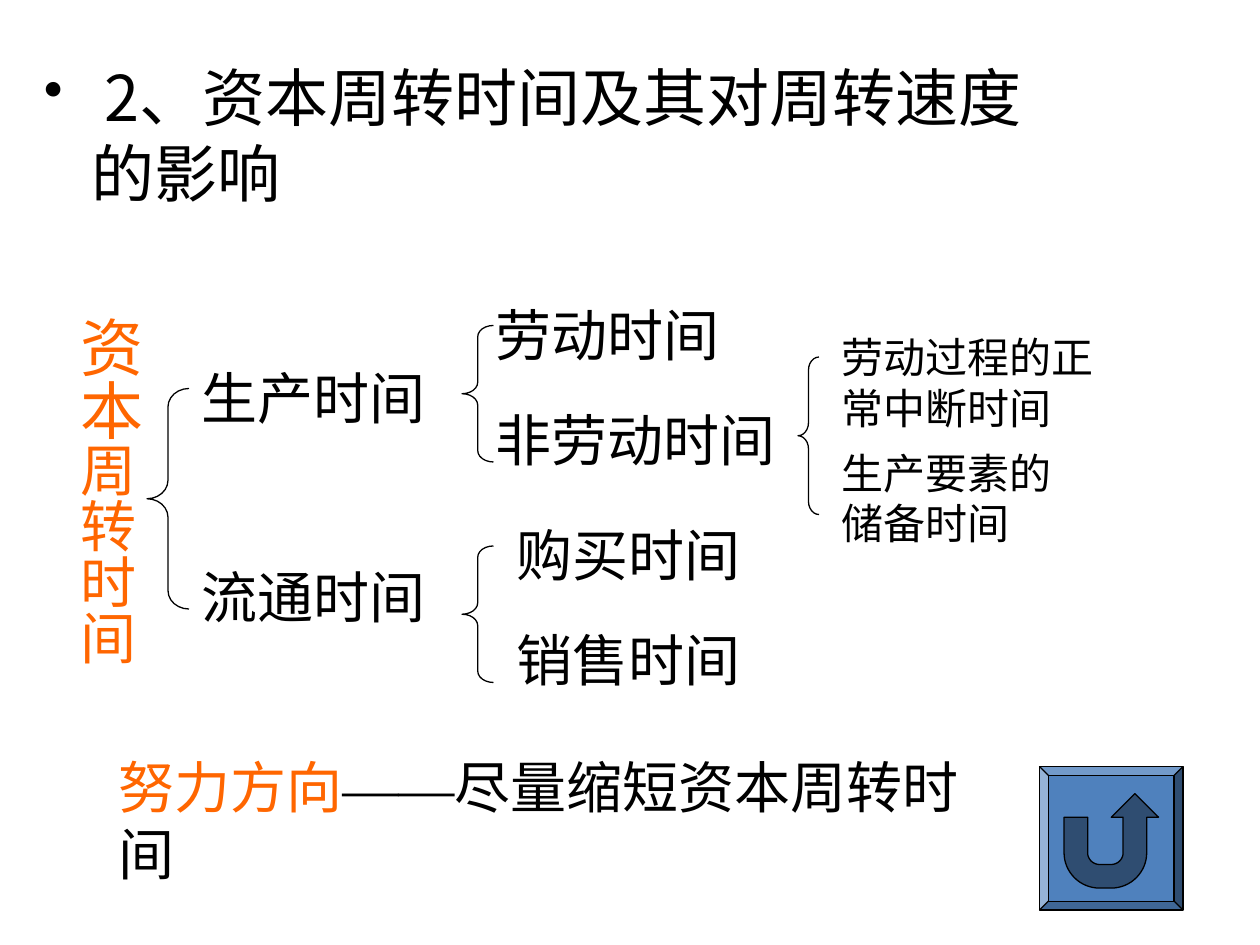
import math
import pptx
import pptx.util
import pptx.dml.color
import pptx.enum.shapes
import pptx.enum.text
import pptx.oxml.ns
from lxml import etree

COLORS = {"ink": "000000", "accent": "FF6600", "button": "4F81BD", "arrow": "2F4D71"}
CJK, LATIN = "Noto Sans CJK SC", "Times New Roman"
WIDTH, HEIGHT = 10, 7.5
UNIT = WIDTH / 120  # layout grid step
LINE_BOX = 0.64     # height of a one-line label


def inches(*lengths):
    return [pptx.util.Inches(length) for length in lengths]


def grid(*steps):
    return [step * UNIT for step in steps]


def rgb(name):
    return pptx.dml.color.RGBColor.from_string(COLORS[name])


def add_run(paragraph, words, size, color="ink", font=CJK):
    run = paragraph.add_run()
    run.text = words
    run.font.size = pptx.util.Pt(size)
    run.font.name = font
    run.font.color.rgb = rgb(color)
    east_asian = etree.SubElement(run.font._element, pptx.oxml.ns.qn("a:ea"))
    east_asian.set("typeface", font)


def add_label(slide, box, runs, wrap=False):
    """Add a one-paragraph text box; each run is (words, size, ...)."""
    label = slide.shapes.add_textbox(*inches(*box))
    label.text_frame.word_wrap = wrap
    for run in runs:
        add_run(label.text_frame.paragraphs[0], *run)
    return label


def add_bullet(paragraph, indent):
    properties = paragraph._p.get_or_add_pPr()
    properties.set("marL", str(pptx.util.Inches(indent)))
    properties.set("indent", str(-pptx.util.Inches(indent)))
    etree.SubElement(properties, pptx.oxml.ns.qn("a:buChar")).set("char", "•")


def style(shape, fill=None):
    shape.shadow.inherit = False
    if fill:
        shape.fill.solid()
        shape.fill.fore_color.rgb = rgb(fill)
    else:
        shape.fill.background()
    shape.line.color.rgb = rgb("ink")
    shape.line.width = pptx.util.Pt(0.75)


def add_brace(slide, left, top, width, height):
    brace = slide.shapes.add_shape(
        pptx.enum.shapes.MSO_SHAPE.LEFT_BRACE, *inches(left, top, width, height))
    brace.adjustments[0] = height / 12 / width
    style(brace)


def arc(center_x, center_y, radius, start, end, steps=16):
    angles = [math.radians(start + (end - start) * i / steps) for i in range(steps + 1)]
    return [(center_x + radius * math.cos(a), center_y + radius * math.sin(a))
            for a in angles]


def add_return_button(slide, left, top, side):
    bevel = slide.shapes.add_shape(
        pptx.enum.shapes.MSO_SHAPE.BEVEL, *inches(left, top, side, side))
    bevel.adjustments[0] = 0.0625
    style(bevel, "button")

    # U-shaped arrow, on a grid of eighths of its own width
    step = 0.75 / 8
    x, y = left + (side - 8 * step) / 2, top + (side - 8 * step) / 2 + 0.02
    outline = [(0, 2), (2, 2)]
    outline += arc(3, 5, 1, 180, 90) + arc(4, 5, 1, 90, 0)
    outline += [(5, 2), (4, 2), (6, 0), (8, 2), (7, 2)]
    outline += arc(4, 5, 3, 0, 90) + arc(3, 5, 3, 90, 180)
    points = [tuple(inches(x + column * step, y + row * step)) for column, row in outline]
    builder = slide.shapes.build_freeform(*points[0])
    builder.add_line_segments(points[1:], close=True)
    style(builder.convert_to_shape(), "arrow")


def main():
    deck = pptx.Presentation()
    deck.slide_width, deck.slide_height = inches(WIDTH, HEIGHT)
    slide = deck.slides.add_slide(deck.slide_layouts[6])

    # Heading
    heading = add_label(slide, grid(3, 5, 99, 75),
                        [(" ", 32), ("2、资本周转时间及其对周转速度的影响", 36)], wrap=True)
    add_bullet(heading.text_frame.paragraphs[0], 0.38)

    # Root of the tree, set vertically
    root = add_label(slide, (0.42, 2.41, 0.8, 2.88),
                     [("资本", 36, "accent"), ("周转时间", 32, "accent")])
    frame = root.text_frame
    frame.margin_left, frame.margin_right = inches(0.05, 0.05)
    frame.margin_top, frame.margin_bottom = inches(0.1, 0.1)
    frame._txBody.bodyPr.set("vert", "eaVert")

    # Braces, in grid steps
    for brace in [(14, 37, 4, 21), (44, 31, 3, 13), (44, 52, 3, 13), (76, 34, 2, 15)]:
        add_brace(slide, *grid(*brace))

    # One-line branches: words, left and top in grid steps
    branches = [("生产时间", 18, 34), ("流通时间", 18, 53),
                ("劳动时间", 46, 28), ("非劳动时间", 46, 38),
                ("购买时间", 48, 49), ("销售时间", 48, 59)]
    for words, left, top in branches:
        width = 0.2 + len(words) * 32 / 72
        add_label(slide, (*grid(left, top), width, LINE_BOX), [(words, 32)])

    # Two-line leaves
    for words, top, width in [("劳动过程的正常中断时间", 31, 27),
                              ("生产要素的储备时间", 42, 25)]:
        add_label(slide, grid(79, top, width, 10.8), [(words, 24)], wrap=True)

    # Conclusion
    add_label(slide, (0.84, 5.92, 6.96, LINE_BOX),
              [("努力方向", 32, "accent"), ("——", 32, "ink", LATIN),
               ("尽量缩短资本周转时间", 32)], wrap=True)

    add_return_button(slide, *grid(99, 73), 1.14)
    deck.save("out.pptx")


if __name__ == "__main__":
    main()
